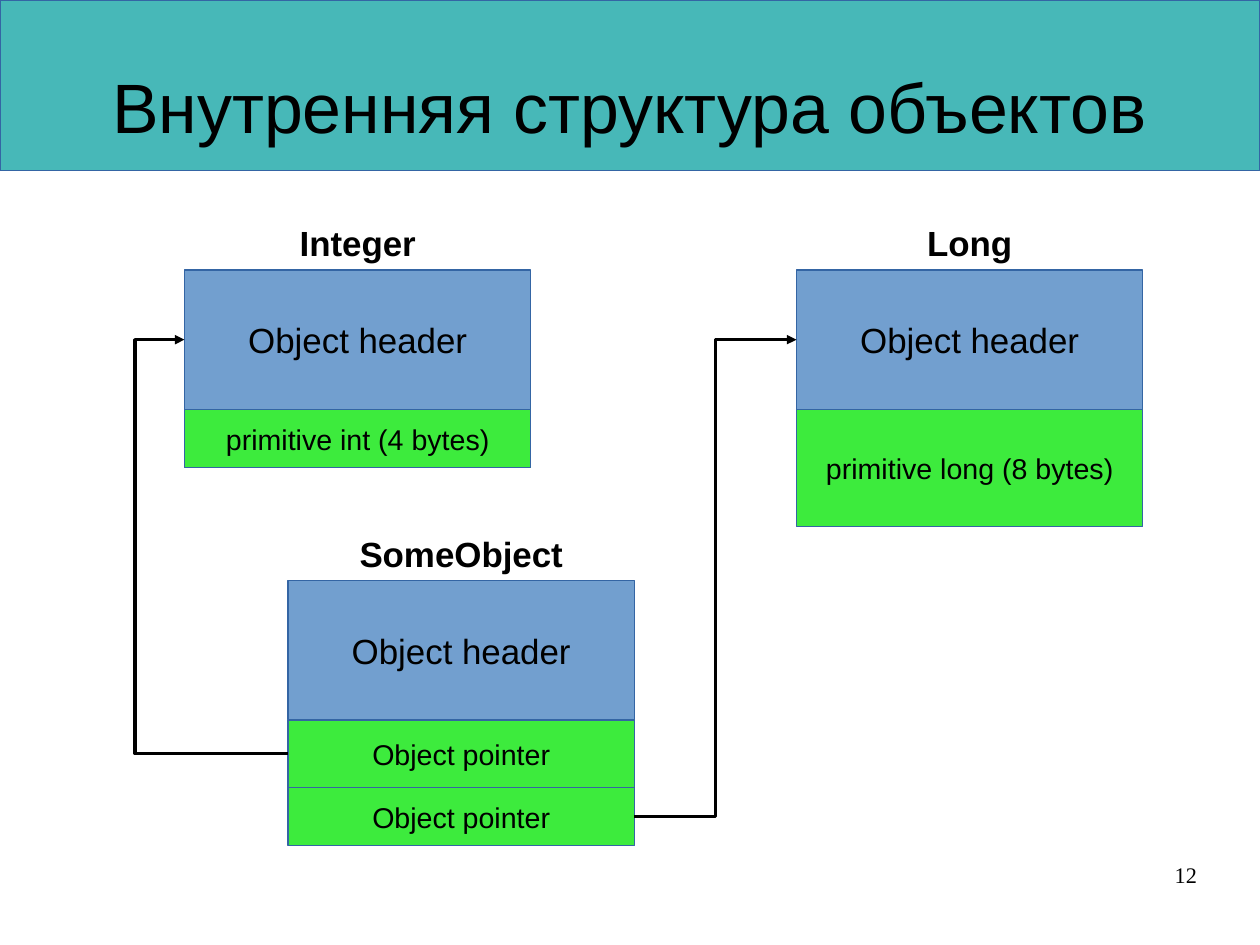
from lxml.etree import SubElement
from pptx import Presentation
from pptx.dml.color import RGBColor as Rgb
from pptx.enum.shapes import MSO_CONNECTOR as Connector, MSO_SHAPE as Preset
from pptx.enum.text import MSO_ANCHOR as Anchor, PP_ALIGN as Align
from pptx.oxml.ns import qn
from pptx.util import Cm, Pt

COLUMNS, ROWS = 28, 21
CELL = Cm(1)
COLORS = {"band": "47B8B8", "header": "729FCF", "field": "3DEB3D",
          "edge": "3465A4", "ink": "000000"}
OBJECT_WIDTH, LABEL_HEIGHT, HEADER_HEIGHT = 7.7, 1.2, 3.1
LEFT_SIDE, RIGHT_SIDE = 1, 3


def color(name):
    return Rgb.from_string(COLORS[name])


def grid(*lengths):
    return [round(length * CELL) for length in lengths]


def write(shape, text, size, bold=False, font="Arial", align=Align.CENTER,
          anchor=Anchor.MIDDLE, margins=(0.25, 0.13)):
    frame = shape.text_frame
    frame.text = text
    frame.word_wrap = True
    frame.vertical_anchor = anchor
    frame.margin_left = frame.margin_right = Cm(margins[0])
    frame.margin_top = frame.margin_bottom = Cm(margins[1])
    para = frame.paragraphs[0]
    para.alignment = align
    span = para.runs[0]
    span.font.name = font
    span.font.size = Pt(size)
    span.font.bold = bold
    span.font.color.rgb = color("ink")


def add_text(page, box, text, size, **style):
    write(page.shapes.add_textbox(*grid(*box)), text, size, **style)


def add_block(page, box, fill):
    block = page.shapes.add_shape(Preset.RECTANGLE, *grid(*box))
    block.shadow.inherit = False
    block.fill.solid()
    block.fill.fore_color.rgb = color(fill)
    block.line.color.rgb = color("edge")
    block.line.width = Pt(0)
    return block


def add_title(page, box):
    left, top, width, height = box
    add_block(page, box, "band")
    add_text(page, (left + width / 20, top + 0.6, width * 0.9, height - 0.3),
             "Внутренняя структура объектов", 44, margins=(0, 0))


def add_object(page, left, top, name, fields):
    add_text(page, (left, top, OBJECT_WIDTH, LABEL_HEIGHT), name, 22,
             bold=True, anchor=Anchor.TOP)
    top += LABEL_HEIGHT
    header = add_block(page, (left, top, OBJECT_WIDTH, HEADER_HEIGHT), "header")
    write(header, "Object header", 22)
    top += HEADER_HEIGHT
    blocks = []
    for text, height in fields:
        block = add_block(page, (left, top, OBJECT_WIDTH, height), "field")
        write(block, text, 18)
        blocks.append(block)
        top += height
    return header, blocks


def add_pointer(page, source, side, target, bend):
    arrow = page.shapes.add_connector(Connector.ELBOW, 0, 0, 0, 0)
    arrow.begin_connect(source, side)
    arrow.end_connect(target, LEFT_SIDE)
    arrow.line.color.rgb = color("ink")
    arrow.line.width = Pt(0)
    share = (bend * CELL - arrow.begin_x) / (arrow.end_x - arrow.begin_x)
    properties = arrow._element.spPr
    guides = properties.find(qn("a:prstGeom")).get_or_add_avLst()
    SubElement(guides, qn("a:gd"), name="adj1", fmla=f"val {round(share * 100000)}")
    SubElement(properties.find(qn("a:ln")), qn("a:tailEnd"), type="triangle")
    SubElement(properties, qn("a:effectLst"))


def add_diagram(page, left, top):
    integer, _ = add_object(page, left, top, "Integer",
                            [("primitive int (4 bytes)", 1.3)])
    long, _ = add_object(page, left + 13.6, top, "Long",
                         [("primitive long (8 bytes)", 2.6)])
    _, (first, second) = add_object(page, left + 2.3, top + 6.9, "SomeObject",
                                    [("Object pointer", 1.5), ("Object pointer", 1.3)])
    add_pointer(page, first, LEFT_SIDE, integer, left - 1.1)
    add_pointer(page, second, RIGHT_SIDE, long, left + 11.8)


def main():
    deck = Presentation()
    deck.slide_width, deck.slide_height = grid(COLUMNS, ROWS)
    page = deck.slides.add_slide(deck.slide_layouts[6])
    add_title(page, (0, 0, COLUMNS, 3.8))
    add_diagram(page, 4.1, 4.8)
    add_text(page, (20.07, 19.13, 6.53, 1.45), "12", 14, font="Times New Roman",
             align=Align.RIGHT, anchor=Anchor.TOP, margins=(0, 0))
    deck.save("out.pptx")


if __name__ == "__main__":
    main()
